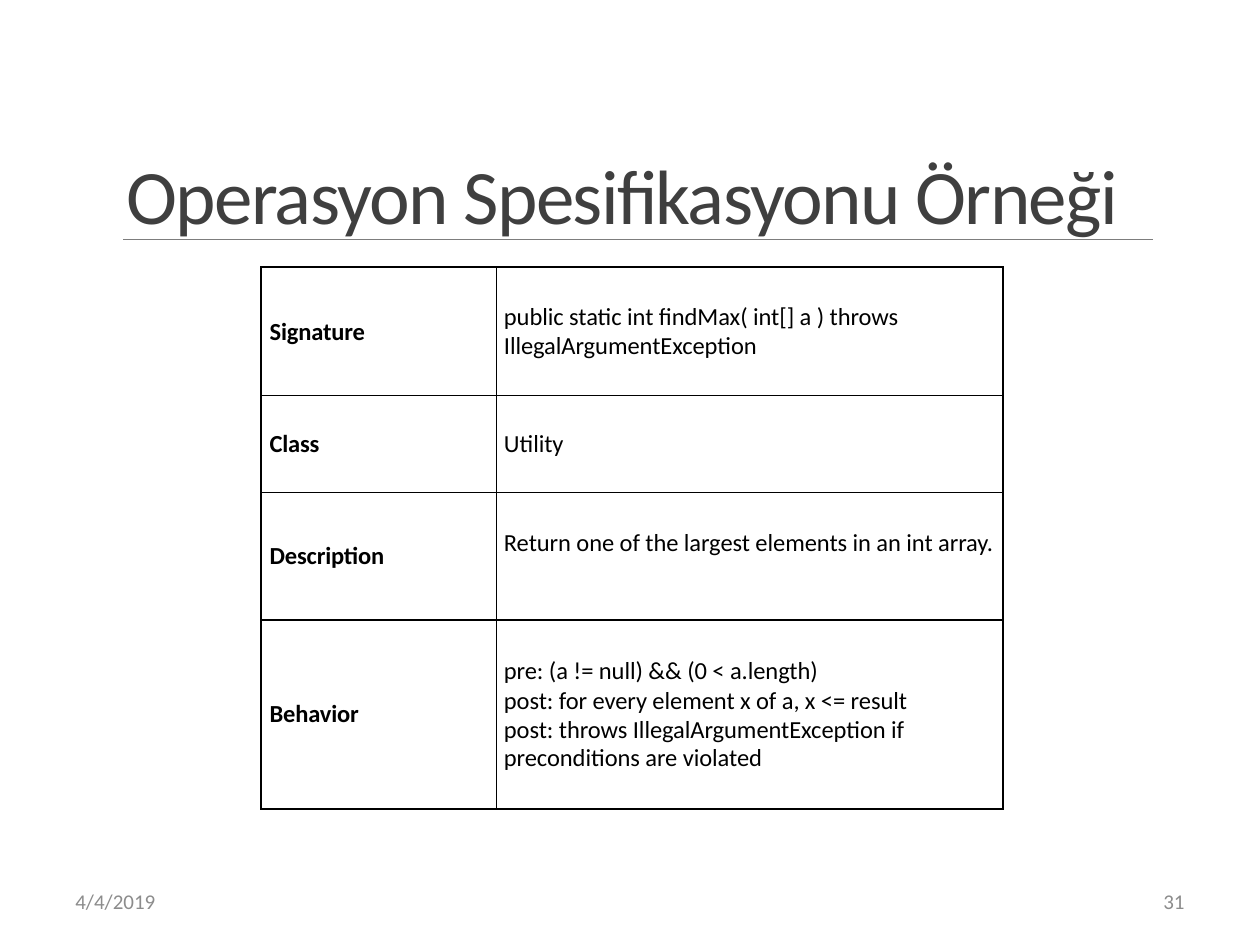
from pptx import Presentation
from pptx.dml.color import RGBColor as Color
from pptx.enum.shapes import MSO_CONNECTOR as Connector
from pptx.enum.text import MSO_ANCHOR as Anchor, PP_ALIGN as Align
from pptx.oxml.ns import qn
from pptx.util import Inches, Pt
from lxml.etree import SubElement

COLORS = {"title": "3F3F3F", "rule": "7D7D7D", "ink": "000000", "footer": "8C8C8C"}
COLUMNS, ROWS = 100, 75
SPECIFICATION = [
    ("Signature", ["public static int findMax( int[] a ) throws IllegalArgumentException"]),
    ("Class", ["Utility"]),
    ("Description", ["Return one of the largest elements in an int array."]),
    ("Behavior", [
        "pre: (a != null) && (0 < a.length)",
        "post: for every element x of a, x <= result\v"
        "post: throws IllegalArgumentException if preconditions are violated",
    ]),
]


class SlideBuilder:
    font = "Calibri"

    def __init__(self, presentation):
        self.slide = presentation.slides.add_slide(presentation.slide_layouts[6])
        self.column = presentation.slide_width / COLUMNS
        self.row = presentation.slide_height / ROWS

    def place(self, column, row, columns, rows):
        return [round(value) for value in (
            column * self.column, row * self.row, columns * self.column, rows * self.row)]

    def style(self, paragraph, size, color, bold=False, spacing=0):
        paragraph.font.name = self.font
        paragraph.font.size = Pt(size)
        paragraph.font.bold = bold
        paragraph.font.color.rgb = Color.from_string(COLORS[color])
        if spacing:
            for run in paragraph.runs:
                run._r.get_or_add_rPr().set("spc", str(round(spacing * 100)))

    def text(self, box, text, size, color, align=Align.LEFT, anchor=Anchor.MIDDLE,
             inset=0.1, spacing=0):
        frame = self.slide.shapes.add_textbox(*self.place(*box)).text_frame
        frame.word_wrap = True
        frame.vertical_anchor = anchor
        frame.margin_left = frame.margin_right = Inches(inset)
        frame.margin_top = frame.margin_bottom = Inches(inset / 2)
        paragraph = frame.paragraphs[0]
        paragraph.text = text
        paragraph.alignment = align
        self.style(paragraph, size, color, spacing=spacing)

    def rule(self, column, row, columns, width, color):
        left, top, length, _ = self.place(column, row, columns, 0)
        line = self.slide.shapes.add_connector(Connector.STRAIGHT, left, top, left + length, top)
        line.line.width = Pt(width)
        line.line.color.rgb = Color.from_string(COLORS[color])
        SubElement(line._element.spPr, qn("a:effectLst"))

    def borders(self, cell, width, color):
        properties = cell._tc.get_or_add_tcPr()
        for side in ("a:lnL", "a:lnR", "a:lnT", "a:lnB"):
            line = SubElement(properties, qn(side), w=str(Pt(width)))
            fill = SubElement(line, qn("a:solidFill"))
            SubElement(fill, qn("a:srgbClr"), val=COLORS[color])

    def cell(self, cell, lines, bold):
        self.borders(cell, 1, "ink")
        cell.fill.background()
        cell.vertical_anchor = Anchor.MIDDLE
        cell.margin_left = Inches(0.07 if bold else 0.06)
        cell.margin_right = cell.margin_top = cell.margin_bottom = 0
        cell.text_frame.text = "\n".join(lines)
        for index, paragraph in enumerate(cell.text_frame.paragraphs):
            paragraph.line_spacing = 0.96
            if index:
                paragraph.space_before = Pt(1.1)
            self.style(paragraph, 14, "ink", bold, -0.1 if bold else -0.05)

    def table(self, column, row, widths, heights, records):
        box = self.place(column, row, sum(widths), sum(heights))
        table = self.slide.shapes.add_table(len(heights), len(widths), *box).table
        table.first_row = table.horz_banding = False
        for target, width in zip(table.columns, widths):
            target.width = round(width * self.column)
        for target, height in zip(table.rows, heights):
            target.height = round(height * self.row)
        for index, (label, lines) in enumerate(records):
            self.cell(table.cell(index, 0), [label], True)
            self.cell(table.cell(index, 1), lines, False)
        return table


def main():
    presentation = Presentation()
    presentation.slide_width, presentation.slide_height = Inches(10), Inches(7.5)
    builder = SlideBuilder(presentation)
    builder.rule(9.8, 19, 81.7, 0.6, "rule")
    builder.text((10, 11.7, 80.5, 7.3), "Operasyon Spesifikasyonu Örneği", 44, "title",
                 anchor=Anchor.TOP, inset=0, spacing=-0.9)
    table = builder.table(20.7, 21.2, (18.7, 40.2), (10.2, 7.7, 10.1, 15), SPECIFICATION)
    table.cell(2, 1).margin_bottom = Inches(0.21)
    builder.text((5, 69.5, 23.3, 4), "4/4/2019", 12, "footer")
    builder.text((71.7, 69.5, 23.3, 4), "31", 12, "footer", align=Align.RIGHT)
    presentation.save("out.pptx")


if __name__ == "__main__":
    main()
